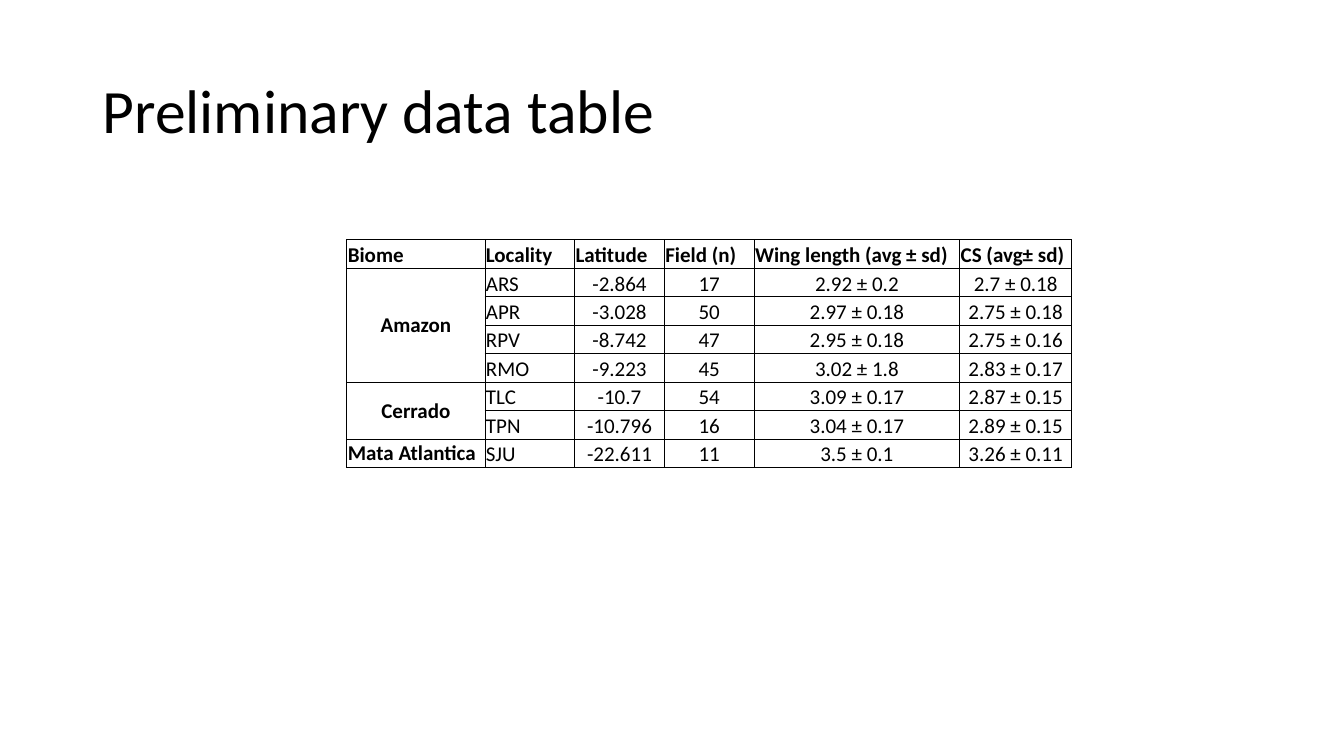
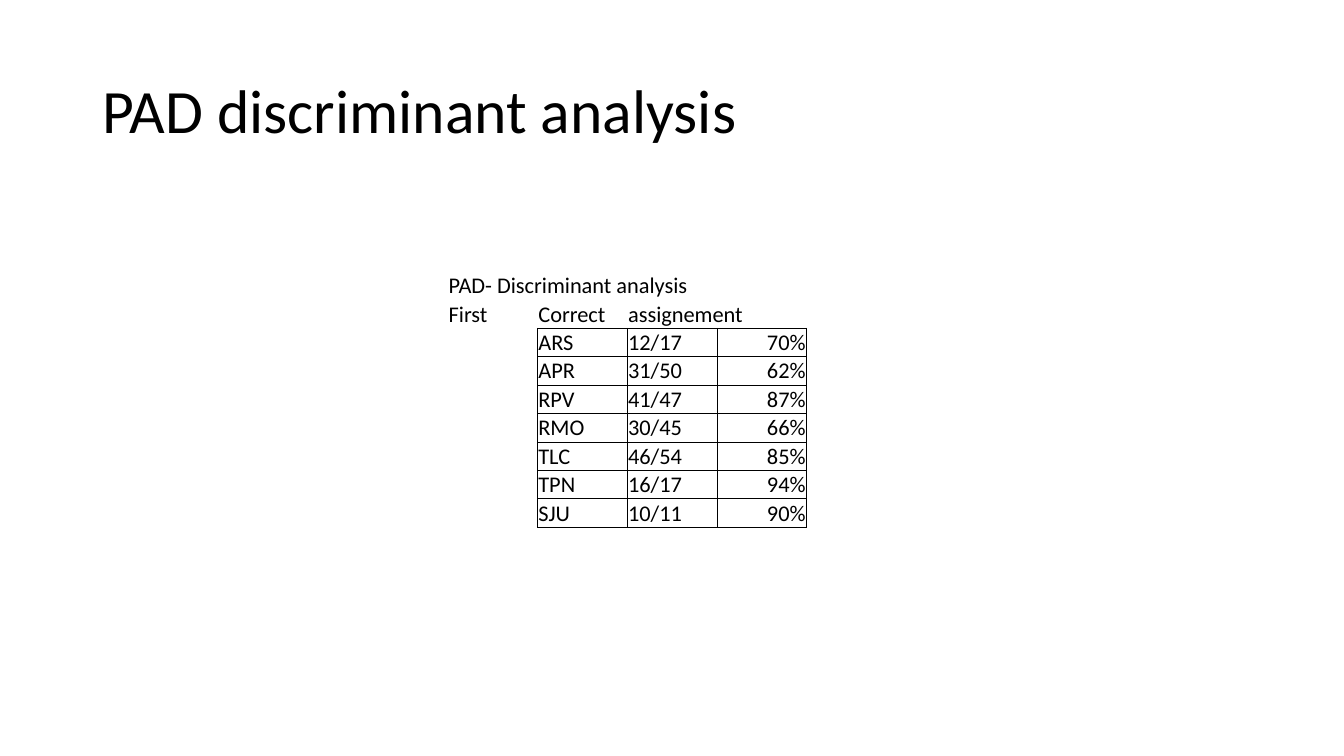
from dataclasses import dataclass

import lxml.etree
import pptx
import pptx.dml.color
import pptx.enum.text
import pptx.oxml.ns
import pptx.util

WIDE, HIGH = 13.33, 7.5
FONT = "Calibri"
HUES = {"ink": "000000", "page": "FFFFFF"}
ROW = 2.26 / 8
UNIT = 0.89
THIN, THICK = 0.5, 1
SIDES = {"L": (0, -1), "R": (0, 1), "T": (-1, 0), "B": (1, 0)}

ALIGN = pptx.enum.text.PP_ALIGN
ANCHOR = pptx.enum.text.MSO_ANCHOR
ALIGNS = {"l": ALIGN.LEFT, "c": ALIGN.CENTER, "r": ALIGN.RIGHT}


@dataclass(frozen=True)
class Span:
    row: int
    col: int
    rows: int = 1
    cols: int = 1


@dataclass(frozen=True)
class Grid:
    """A table; cells from row `top_box` and column `left_box` on are ruled."""
    title: str
    left: float
    top: float
    cols: list[float]
    aligns: str
    size: int
    data: list[list[str]]
    spans: list[Span]
    heads: int
    labels: bool
    outer: float
    top_box: int = 0
    left_box: int = 0

    def boxed(self, row: int, col: int) -> bool:
        return (self.top_box <= row < len(self.data)
                and self.left_box <= col < len(self.cols))

    def width(self, row: int, col: int, side: str) -> float:
        """Border width of one cell side, 0 where no line shows."""
        down, right = SIDES[side]
        near = row + down, col + right
        if not (self.boxed(row, col) or self.boxed(*near)):
            return 0
        inside = 0 <= near[0] < len(self.data) and 0 <= near[1] < len(self.cols)
        return THIN if inside else self.outer


GRIDS = [
    Grid(
        title="Preliminary data table",
        left=3.44, top=2.38, size=15,
        cols=[1.37, UNIT, UNIT, UNIT, 2.04, 1.11], aligns="llcccc",
        data=[
            ["Biome", "Locality", "Latitude", "Field (n)",
             "Wing length (avg ± sd)", "CS (avg± sd)"],
            ["Amazon", "ARS", "-2.864", "17", "2.92 ± 0.2", "2.7 ± 0.18"],
            ["", "APR", "-3.028", "50", "2.97 ± 0.18", "2.75 ± 0.18"],
            ["", "RPV", "-8.742", "47", "2.95 ± 0.18", "2.75 ± 0.16"],
            ["", "RMO", "-9.223", "45", "3.02 ± 1.8", "2.83 ± 0.17"],
            ["Cerrado", "TLC", "-10.7", "54", "3.09 ± 0.17", "2.87 ± 0.15"],
            ["", "TPN", "-10.796", "16", "3.04 ± 0.17", "2.89 ± 0.15"],
            ["Mata Atlantica", "SJU", "-22.611", "11", "3.5 ± 0.1", "3.26 ± 0.11"],
        ],
        spans=[Span(1, 0, rows=4), Span(5, 0, rows=2)],
        heads=1, labels=True, outer=THICK,
    ),
    Grid(
        title="PAD discriminant analysis",
        left=4.44, top=2.69, size=16,
        cols=[UNIT] * 4, aligns="lllr",
        data=[
            ["PAD- Discriminant analysis", "", "", ""],
            ["First", "Correct", "assignement", ""],
            ["", "ARS", "12/17", "70%"],
            ["", "APR", "31/50", "62%"],
            ["", "RPV", "41/47", "87%"],
            ["", "RMO", "30/45", "66%"],
            ["", "TLC", "46/54", "85%"],
            ["", "TPN", "16/17", "94%"],
            ["", "SJU", "10/11", "90%"],
        ],
        spans=[Span(0, 0, cols=3), Span(1, 2, cols=2)],
        heads=2, labels=False, outer=THIN, top_box=2, left_box=1,
    ),
]


def hue(name: str) -> pptx.dml.color.RGBColor:
    return pptx.dml.color.RGBColor.from_string(HUES[name])


def write(frame, text: str, *, size: int, bold: bool = False,
          align: str = "l", space: float = 1) -> None:
    para = frame.paragraphs[0]
    para.alignment = ALIGNS[align]
    para.line_spacing = space
    if not text:
        # An empty cell needs its own size, or it makes the row taller.
        end = lxml.etree.SubElement(para._p, pptx.oxml.ns.qn("a:endParaRPr"))
        end.set("sz", str(size * 100))
        return
    run = para.add_run()
    run.text = text
    run.font.name = FONT
    run.font.size = pptx.util.Pt(size)
    run.font.bold = bold
    run.font.color.rgb = hue("ink")


def rule(cell, side: str, width: float) -> None:
    """Draw one side of a cell, or clear it when width is 0."""
    name = pptx.oxml.ns.qn
    line = lxml.etree.SubElement(cell._tc.get_or_add_tcPr(), name(f"a:ln{side}"))
    line.set("w", str(pptx.util.Pt(width)))
    if not width:
        lxml.etree.SubElement(line, name("a:noFill"))
        return
    fill = lxml.etree.SubElement(line, name("a:solidFill"))
    lxml.etree.SubElement(fill, name("a:srgbClr")).set("val", HUES["ink"])


def draw_title(slide, text: str) -> None:
    place = [pptx.util.Inches(n) for n in (0.92, 0.4, 11.5, 1.45)]
    frame = slide.shapes.add_textbox(*place).text_frame
    frame.word_wrap = True
    frame.vertical_anchor = ANCHOR.MIDDLE
    write(frame, text, size=44, space=0.9)


def draw_cell(cell, grid: Grid, row: int, col: int) -> None:
    label = grid.labels and col == 0 and row >= grid.heads
    tall = any((s.row, s.col) == (row, col) and s.rows > 1 for s in grid.spans)
    cell.margin_left = cell.margin_right = cell.margin_top = pptx.util.Inches(0.01)
    cell.margin_bottom = 0
    cell.vertical_anchor = ANCHOR.MIDDLE if label else ANCHOR.BOTTOM
    for side in SIDES:
        rule(cell, side, grid.width(row, col, side))
    cell.fill.solid()
    cell.fill.fore_color.rgb = hue("page")
    align = "c" if tall else "l" if row < grid.heads else grid.aligns[col]
    write(cell.text_frame, grid.data[row][col], size=grid.size, align=align,
          bold=label or (grid.labels and row < grid.heads))


def draw_grid(slide, grid: Grid) -> None:
    count = len(grid.data)
    place = [pptx.util.Inches(n) for n in
             (grid.left, grid.top, sum(grid.cols), ROW * count)]
    table = slide.shapes.add_table(count, len(grid.cols), *place).table
    table.first_row = table.horz_banding = False
    for col, wide in zip(table.columns, grid.cols):
        col.width = pptx.util.Inches(wide)
    for span in grid.spans:
        last = table.cell(span.row + span.rows - 1, span.col + span.cols - 1)
        table.cell(span.row, span.col).merge(last)
    for row in range(count):
        for col in range(len(grid.cols)):
            draw_cell(table.cell(row, col), grid, row, col)


def main() -> None:
    deck = pptx.Presentation()
    deck.slide_width = pptx.util.Inches(WIDE)
    deck.slide_height = pptx.util.Inches(HIGH)
    for grid in GRIDS:
        slide = deck.slides.add_slide(deck.slide_layouts[6])
        draw_title(slide, grid.title)
        draw_grid(slide, grid)
    deck.save("out.pptx")


if __name__ == "__main__":
    main()
